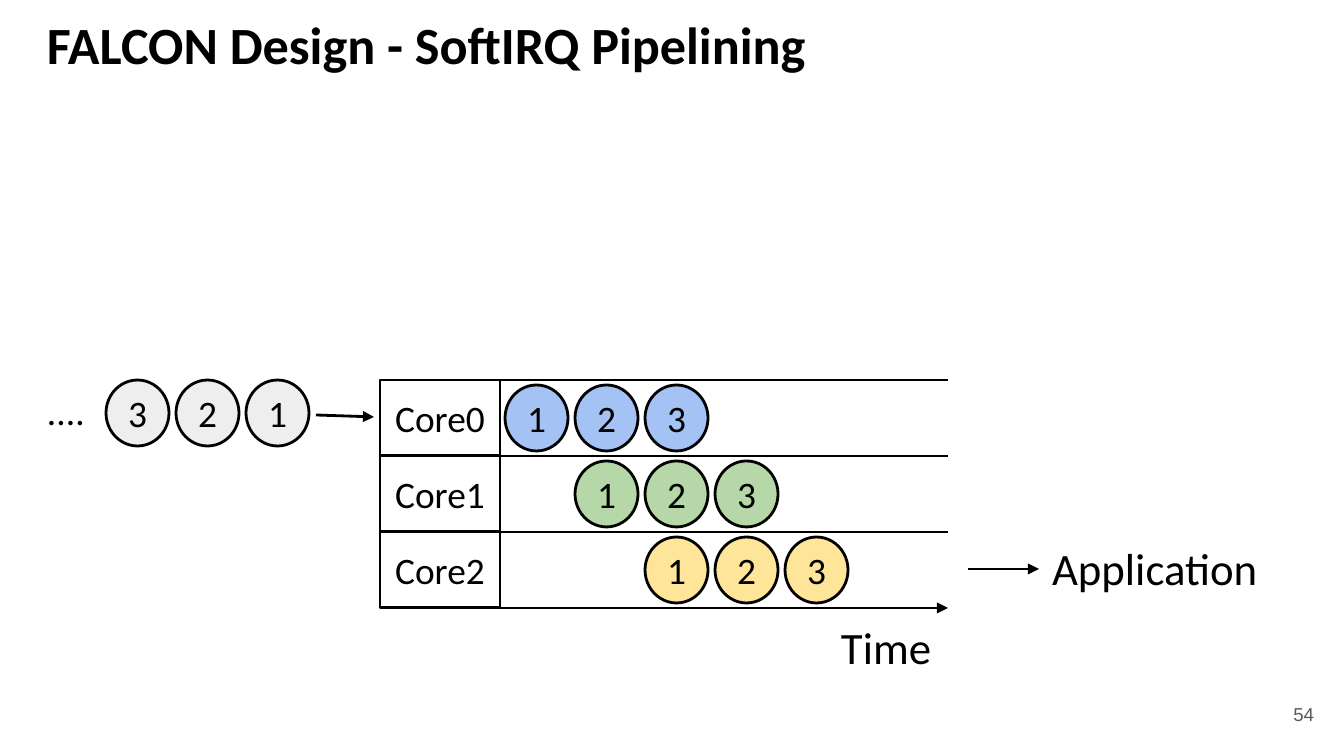
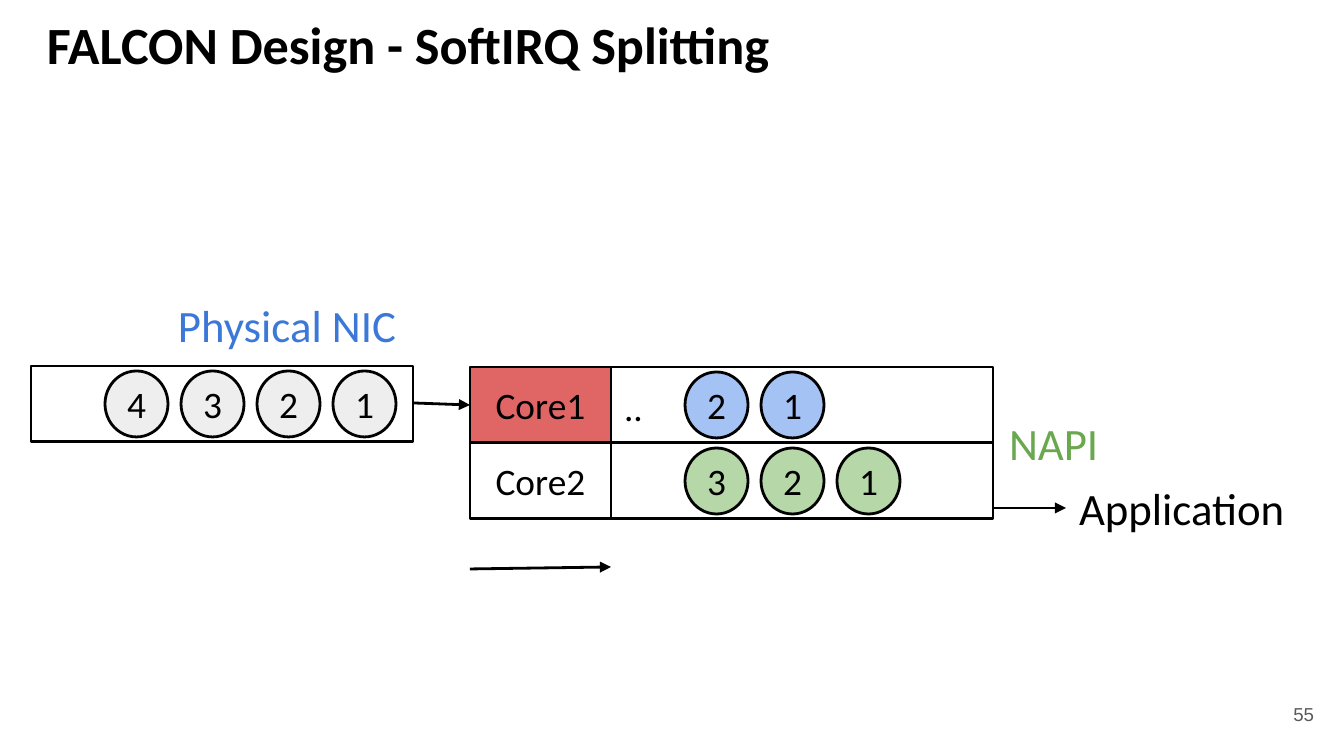
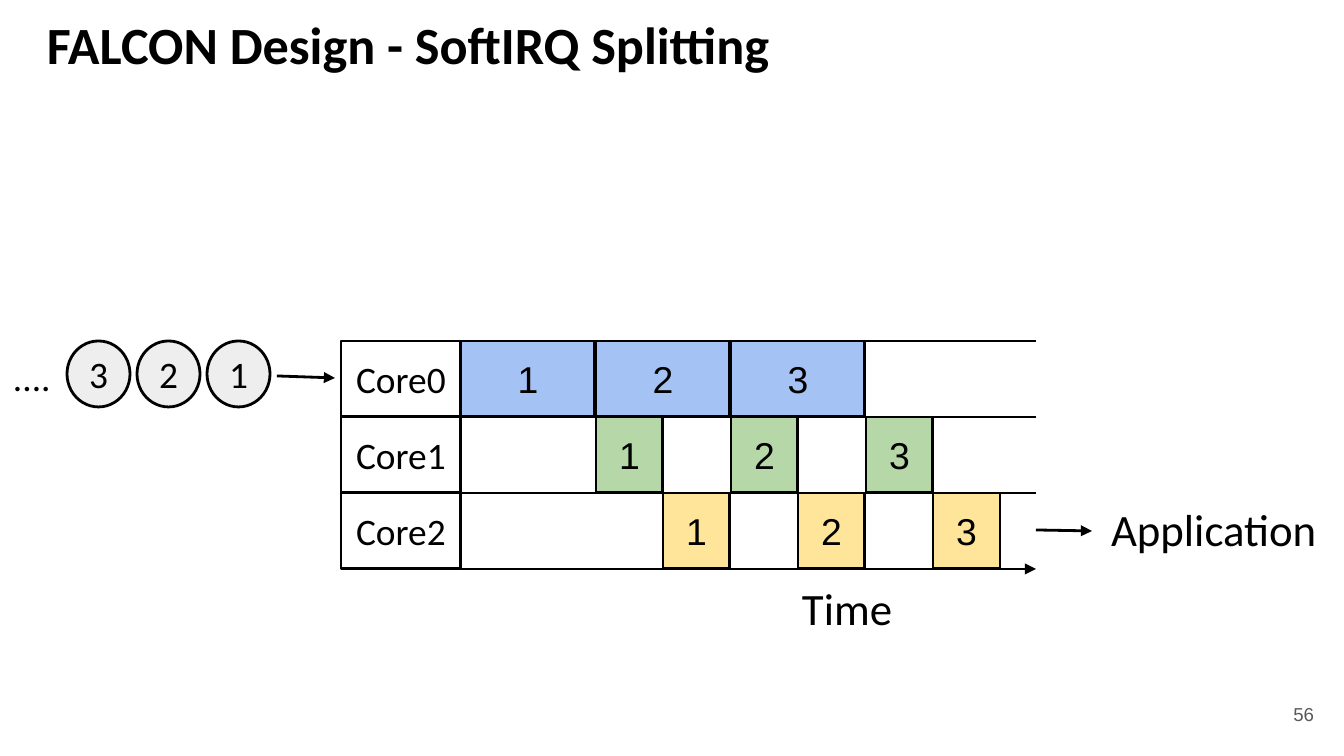
from dataclasses import dataclass

from lxml import etree
from pptx import Presentation
from pptx.dml.color import RGBColor
from pptx.enum.shapes import MSO_CONNECTOR, MSO_SHAPE
from pptx.enum.text import MSO_ANCHOR, PP_ALIGN
from pptx.oxml.ns import qn
from pptx.util import Emu, Pt

RECTANGLE = MSO_SHAPE.RECTANGLE
CIRCLE = MSO_SHAPE.FLOWCHART_CONNECTOR
STRAIGHT = MSO_CONNECTOR.STRAIGHT
TOP, MIDDLE = MSO_ANCHOR.TOP, MSO_ANCHOR.MIDDLE
LEFT, CENTER, RIGHT = PP_ALIGN.LEFT, PP_ALIGN.CENTER, PP_ALIGN.RIGHT


@dataclass(frozen=True)
class Theme:
    black: str = "000000"
    page_number: str = "595959"
    waiting: str = "EEEEEE"
    blue: str = "A4C2F4"
    green: str = "B6D7A8"
    yellow: str = "FFE599"
    busy: str = "E06666"
    nic: str = "3C78D8"
    napi: str = "6AA84F"
    font: str = "Calibri"
    plain_font: str = "Arial"
    title_size: int = 28
    label_size: int = 24
    packet_size: int = 20
    number_size: int = 10
    line_width: float = 1.5


THEME = Theme()
EMU_PER_PX = 914400 / 134.4
PAGE_WIDTH, PAGE_HEIGHT = 1344, 756
INSET = 13
LANE_HEIGHT = 76
PACKET_WIDTH, PACKET_HEIGHT = 63, 66
PACKET_PAD = 5
PACKET_STEP, NIC_STEP = 70, 76
CORE_WIDTH, SPLIT_CORE_WIDTH = 120, 141
BUFFER_WIDTH = 382
LABEL_WIDTH, LABEL_HEIGHT = 246, 82
DOTS_HEIGHT = 114
SLOT_STEP, SLOT_WIDTH, HALF_SLOT = 135, 134, 67

PIPELINING = {
    "number": 54,
    "title": "FALCON Design - SoftIRQ Pipelining",
    "origin": (380, 380),
    "dots": (34, 375),
    "lane_end": 948,
    "output_arrow": (968, 569, 1039, 569),
    "application": (1039, 528),
}
SPLITTING = {"number": 55, "title": "FALCON Design - SoftIRQ Splitting"}
SPLIT_TIMELINE = {
    "number": 56,
    "title": "FALCON Design - SoftIRQ Splitting",
    "origin": (341, 341),
    "dots": (0, 341),
    "lane_end": 1036,
    "output_arrow": (1036, 530, 1092, 531),
    "application": (1098, 489),
}
CORES = ["Core0", "Core1", "Core2"]
PACKETS = ["1", "2", "3"]
STAGE_COLORS = [THEME.blue, THEME.green, THEME.yellow]
STAGE_SLOTS = [(0, SLOT_WIDTH), (SLOT_STEP, HALF_SLOT), (SLOT_STEP + HALF_SLOT, HALF_SLOT)]
SPLIT_CORES = [
    ("Core1", THEME.busy, ["2", "1"], THEME.blue),
    ("Core2", None, ["3", "2", "1"], THEME.green),
]


def px(value):
    return Emu(round(value * EMU_PER_PX))


def rgb(color):
    return RGBColor.from_string(color)


def write(box, text, size, color=THEME.black, font=THEME.font, align=LEFT, anchor=TOP, bold=False):
    frame = box.text_frame
    frame.word_wrap = True
    frame.vertical_anchor = anchor
    frame.margin_left = frame.margin_right = px(INSET)
    frame.margin_top = frame.margin_bottom = px(INSET)
    para = frame.paragraphs[0]
    para.text = text
    para.alignment = align
    para.font.name = font
    para.font.size = Pt(size)
    para.font.bold = bold
    para.font.color.rgb = rgb(color)


def add_text(page, text, left, top, width, height, size, **style):
    box = page.shapes.add_textbox(px(left), px(top), px(width), px(height))
    write(box, text, size, **style)


def add_label(page, text, left, top, width=LABEL_WIDTH, color=THEME.black):
    add_text(page, text, left, top, width, LABEL_HEIGHT, THEME.label_size, color=color)


def add_dots(page, text, left, top, width):
    add_text(page, text, left, top, width, DOTS_HEIGHT, THEME.packet_size)


def add_block(page, left, top, width, height=LANE_HEIGHT, text="", fill=None,
              kind=RECTANGLE, font=THEME.font):
    block = page.shapes.add_shape(kind, px(left), px(top), px(width), px(height))
    block.shadow.inherit = False
    if fill:
        block.fill.solid()
        block.fill.fore_color.rgb = rgb(fill)
    else:
        block.fill.background()
    block.line.color.rgb = rgb(THEME.black)
    block.line.width = Pt(THEME.line_width)
    if text:
        write(block, text, THEME.packet_size, font=font, align=CENTER, anchor=MIDDLE)


def add_packets(page, names, left, top, step, color):
    for index, name in enumerate(names):
        add_block(page, left + index * step, top, PACKET_WIDTH, PACKET_HEIGHT,
                  name, color, CIRCLE)


def add_line(page, start_x, start_y, end_x, end_y, arrow=False):
    line = page.shapes.add_connector(STRAIGHT, px(start_x), px(start_y), px(end_x), px(end_y))
    line.line.color.rgb = rgb(THEME.black)
    line.line.width = Pt(THEME.line_width)
    if arrow:
        etree.SubElement(line.line._get_or_add_ln(), qn("a:tailEnd"), type="triangle")
    etree.SubElement(line._element.spPr, qn("a:effectLst"))


def add_page(deck, content):
    page = deck.slides.add_slide(deck.slide_layouts[6])
    add_text(page, content["title"], 34, -1, 1253, 90, THEME.title_size, bold=True)
    add_text(page, str(content["number"]), 1246, 685, 81, 58, THEME.number_size,
             color=THEME.page_number, font=THEME.plain_font, align=RIGHT, anchor=MIDDLE)
    return page


def add_circle_stages(page, left, top):
    for lane, color in enumerate(STAGE_COLORS):
        add_packets(page, PACKETS, left + PACKET_PAD + lane * PACKET_STEP,
                    top + lane * LANE_HEIGHT + PACKET_PAD, PACKET_STEP, color)


def add_slot_stages(page, left, top):
    for lane, (color, (offset, width)) in enumerate(zip(STAGE_COLORS, STAGE_SLOTS)):
        for index, name in enumerate(PACKETS):
            add_block(page, left + offset + index * SLOT_STEP, top + lane * LANE_HEIGHT,
                      width, text=name, fill=color, font=THEME.plain_font)


def add_timeline(deck, content, add_stages):
    page = add_page(deck, content)
    left, top = content["origin"]
    lane_start = left + CORE_WIDTH
    bottom = top + len(CORES) * LANE_HEIGHT
    add_packets(page, PACKETS[::-1], left - 274, top, PACKET_STEP, THEME.waiting)
    add_dots(page, "....", *content["dots"], 73)
    add_line(page, left - 64, top + 35, left - 6, top + 37, arrow=True)
    for lane, core in enumerate(CORES):
        add_block(page, left, top + lane * LANE_HEIGHT, CORE_WIDTH, text=core)
    add_stages(page, lane_start, top)
    for lane in range(len(CORES)):
        lane_top = top + lane * LANE_HEIGHT
        add_line(page, lane_start, lane_top, content["lane_end"], lane_top)
    add_line(page, lane_start, bottom, content["lane_end"], bottom, arrow=True)
    add_label(page, "Time", left + 448, bottom - 1, CORE_WIDTH)
    add_line(page, *content["output_arrow"], arrow=True)
    add_label(page, "Application", *content["application"])


def add_splitting(deck, content):
    page = add_page(deck, content)
    left, top = 470, 367
    buffer_left = left + SPLIT_CORE_WIDTH
    buffer_right = buffer_left + BUFFER_WIDTH
    add_label(page, "Physical NIC", 165, 285, color=THEME.nic)
    add_block(page, 31, 366, BUFFER_WIDTH)
    add_packets(page, ["4", "3", "2", "1"], 105, 371, NIC_STEP, THEME.waiting)
    add_line(page, 414, 403, left, 405, arrow=True)
    for lane, (core, core_color, packets, packet_color) in enumerate(SPLIT_CORES):
        lane_top = top + lane * LANE_HEIGHT
        add_block(page, buffer_left, lane_top, BUFFER_WIDTH)
        add_packets(page, packets, 685, lane_top + PACKET_PAD, NIC_STEP, packet_color)
        add_block(page, left, lane_top, SPLIT_CORE_WIDTH, text=core, fill=core_color)
    add_dots(page, "..", buffer_left, 371, 55)
    add_line(page, buffer_right, 508, 1066, 508, arrow=True)
    add_label(page, "Application", 1066, 468)
    add_label(page, "NAPI", 996, 403, color=THEME.napi)
    add_line(page, left, 569, buffer_left, 567, arrow=True)


def main():
    deck = Presentation()
    deck.slide_width = px(PAGE_WIDTH)
    deck.slide_height = px(PAGE_HEIGHT)
    add_timeline(deck, PIPELINING, add_circle_stages)
    add_splitting(deck, SPLITTING)
    add_timeline(deck, SPLIT_TIMELINE, add_slot_stages)
    deck.save("out.pptx")


if __name__ == "__main__":
    main()
